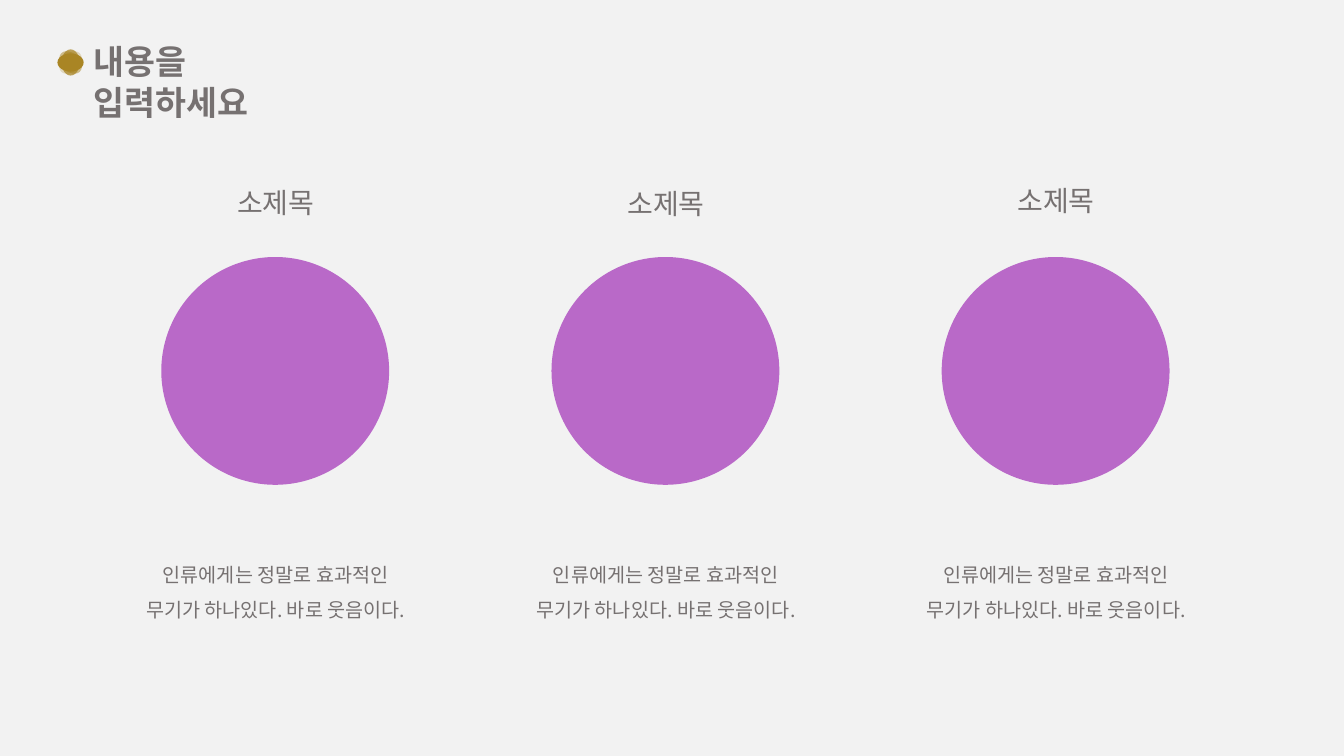
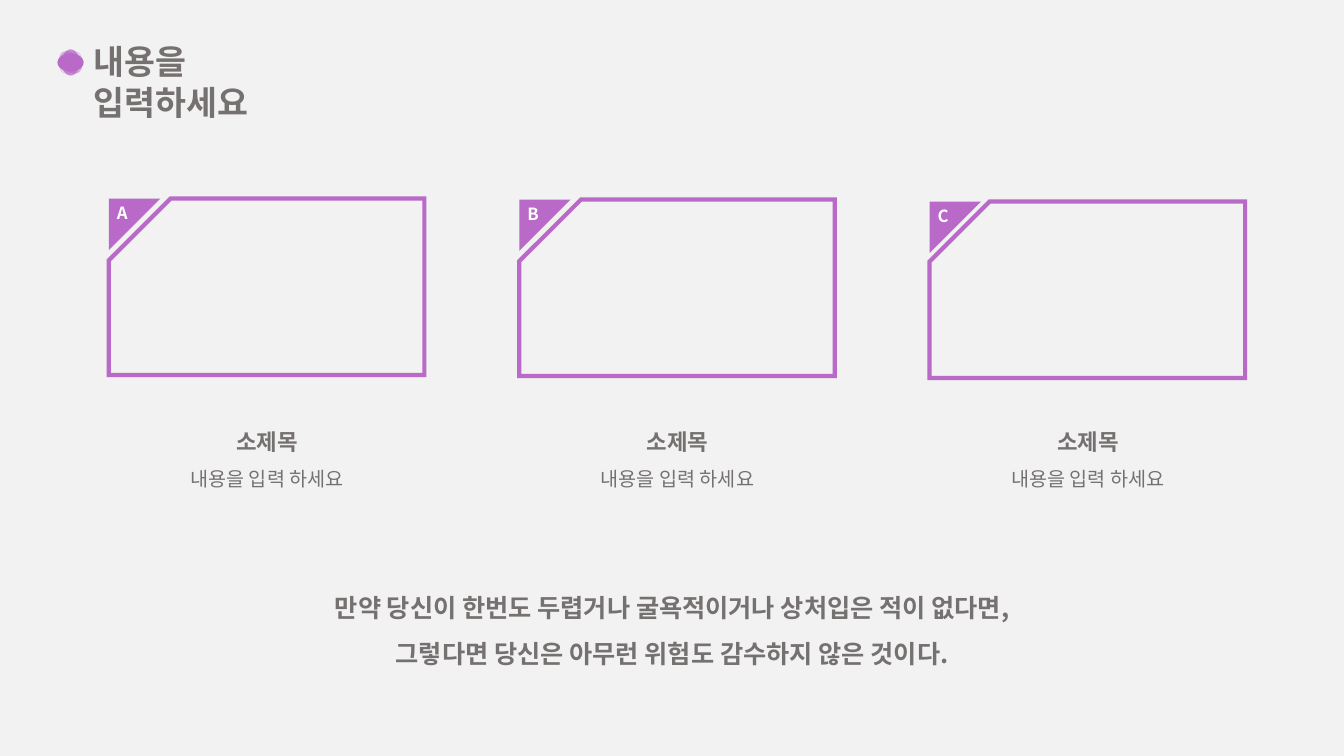
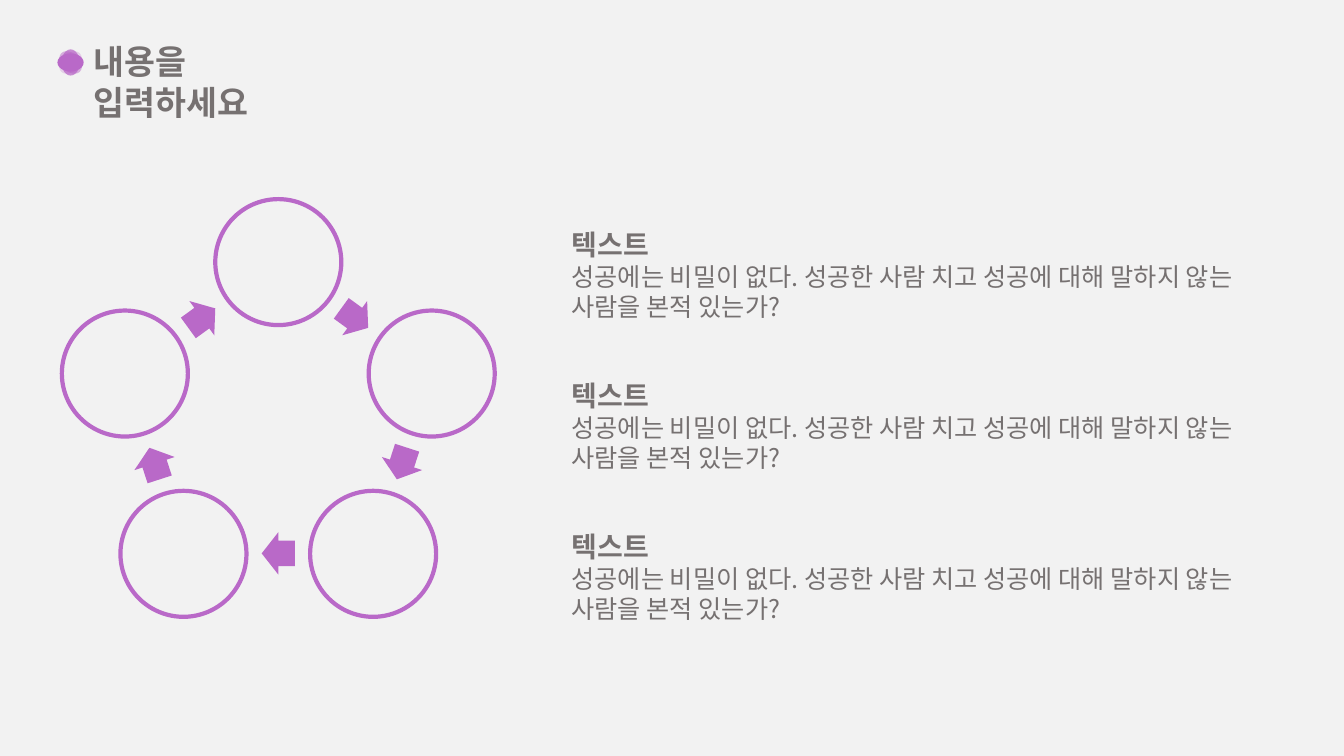
from math import cos, radians, sin

from lxml import etree
from pptx import Presentation
from pptx.dml.color import RGBColor
from pptx.enum.shapes import MSO_SHAPE
from pptx.enum.text import MSO_ANCHOR, MSO_AUTO_SIZE, PP_ALIGN
from pptx.oxml.ns import qn
from pptx.util import Inches, Pt

ELLIPSE = MSO_SHAPE.OVAL
ARROW = MSO_SHAPE.RIGHT_ARROW
SNIPPED = MSO_SHAPE.SNIP_1_RECTANGLE
TOP = MSO_ANCHOR.TOP
GROW = MSO_AUTO_SIZE.SHAPE_TO_FIT_TEXT
LEFT = PP_ALIGN.LEFT
CENTER = PP_ALIGN.CENTER

FONT = "Noto Sans CJK KR"
COLORS = {
    "background": "F2F2F2",
    "text": "767171",
    "purple": "B969C8",
    "gold": "A98524",
    "white": "FFFFFF",
}


class Deck:
    def __init__(self):
        self.presentation = Presentation()
        self.presentation.slide_width = Inches(13.33)
        self.presentation.slide_height = Inches(7.5)
        self.slide = None

    def color(self, name):
        return RGBColor.from_string(COLORS[name])

    def new_slide(self):
        layout = self.presentation.slide_layouts[6]
        self.slide = self.presentation.slides.add_slide(layout)
        fill = self.slide.background.fill
        fill.solid()
        fill.fore_color.rgb = self.color("background")

    def style(self, shape, fill=None, line=None, alpha=None):
        shape.shadow.inherit = False
        if fill:
            shape.fill.solid()
            shape.fill.fore_color.rgb = self.color(fill)
        else:
            shape.fill.background()
        if line:
            shape.line.color.rgb = self.color(line)
            shape.line.width = Pt(3)
            outline = shape.element.spPr.find(qn("a:ln"))
            etree.SubElement(outline, qn("a:miter"), lim="800000")
        else:
            shape.line.fill.background()
        if alpha:
            tint = shape.element.spPr.find(".//" + qn("a:srgbClr"))
            etree.SubElement(tint, qn("a:alpha"), val=str(alpha * 1000))

    def shape(self, kind, left, top, width, height, parent=None, rotation=0,
              adjustments=(), **look):
        shapes = (parent or self.slide).shapes
        shape = shapes.add_shape(kind, Inches(left), Inches(top),
                                 Inches(width), Inches(height))
        shape.rotation = rotation
        for index, value in enumerate(adjustments):
            shape.adjustments[index] = value
        self.style(shape, **look)
        return shape

    def add_lines(self, frame, lines, align=LEFT, color="text"):
        for index, (text, size, bold, spacing) in enumerate(lines):
            paragraph = frame.paragraphs[0] if index == 0 else frame.add_paragraph()
            paragraph.alignment = align
            paragraph.line_spacing = spacing
            run = paragraph.add_run()
            run.text = text
            run.font.size = Pt(size)
            run.font.bold = bold
            run.font.color.rgb = self.color(color)
            run.font.name = FONT
            properties = run._r.get_or_add_rPr()
            etree.SubElement(properties, qn("a:ea"), typeface=FONT)

    def text(self, left, top, width, height, lines, align=LEFT, wrap=True):
        box = self.slide.shapes.add_textbox(Inches(left), Inches(top),
                                            Inches(width), Inches(height))
        frame = box.text_frame
        frame.word_wrap = wrap
        frame.auto_size = GROW
        self.add_lines(frame, lines, align)
        return box

    def title(self, text, accent):
        box = self.text(0.83, 0.36, 2.74, 0.5, [(text, 24, True, 1.0)])
        box.text_frame.margin_right = Inches(0.4)
        marker = self.slide.shapes.add_group_shape()
        for rotation, alpha in ((90, 75), (45, 50), (315, 25), (0, None)):
            self.shape(ELLIPSE, 0.57, 0.53, 0.26, 0.18, parent=marker,
                       rotation=rotation, fill=accent, alpha=alpha)

    def snipped_frame(self, left, top, width, height, snip):
        frame = self.shape(SNIPPED, left, top, width, height,
                           adjustments=[snip], line="purple")
        frame.element.spPr.find(qn("a:xfrm")).set("flipH", "1")

    def corner_tag(self, left, top, side, letter):
        builder = self.slide.shapes.build_freeform(Inches(left), Inches(top))
        builder.add_line_segments([(Inches(left + side), Inches(top)),
                                   (Inches(left), Inches(top + side))], close=True)
        tag = builder.convert_to_shape()
        self.style(tag, fill="purple")
        frame = tag.text_frame
        frame.vertical_anchor = TOP
        frame.margin_left, frame.margin_top = Inches(0.08), Inches(0.04)
        frame.margin_right, frame.margin_bottom = Inches(0.24), Inches(0.31)
        self.add_lines(frame, [(letter, 12, True, 1.0)], color="white")

    def cycle(self, center_x, center_y, count):
        group = self.slide.shapes.add_group_shape()
        step = 360 / count

        def place(kind, angle, radius, width, height, **options):
            x = center_x + radius * sin(radians(angle))
            y = center_y - radius * cos(radians(angle))
            self.shape(kind, x - width / 2, y - height / 2, width, height,
                       parent=group, **options)

        for index in range(count):
            angle = index * step
            middle = angle + step / 2
            place(ELLIPSE, angle, 1.6, 1.25, 1.25, line="purple")
            place(ARROW, middle, 1.29, 0.33, 0.42, rotation=middle,
                  adjustments=[0.6, 0.5], fill="purple")


def circles_slide(deck):
    deck.new_slide()
    for column, heading_top in enumerate((1.62, 1.63, 1.6)):
        center = 2.73 + 3.87 * column
        deck.shape(ELLIPSE, center - 1.13, 2.55, 2.26, 2.26, fill="purple")
        deck.text(center - 1.41, 5.42, 2.83, 0.77,
                  [("인류에게는 정말로 효과적인 무기가 하나있다. 바로 웃음이다.",
                    14, False, 1.5)], CENTER)
        deck.text(center - 0.48, heading_top, 0.97, 0.56,
                  [("소제목", 20, False, 1.5)], CENTER, wrap=False)
    deck.title("내용을 입력하세요", "gold")


def frames_slide(deck):
    deck.new_slide()
    cards = (("A", 1.97, 0.35), ("B", 1.98, 0.35), ("C", 2, 0.34))
    for column, (letter, top, snip) in enumerate(cards):
        left = 1.08 + 4.07 * column
        deck.text(left + 0.19, 4.07, 2.76, 0.86,
                  [("소제목", 16, True, 1.5),
                   ("내용을 입력 하세요", 14, False, 1.5)], CENTER)
        deck.snipped_frame(left, top, 3.13, 1.75, snip)
        deck.corner_tag(left, top, 0.51, letter)
    deck.text(1.12, 5.68, 11.09, 1.01,
              [("만약 당신이 한번도 두렵거나 굴욕적이거나 상처입은 적이 없다면,",
                18, True, 1.5),
               ("그렇다면 당신은 아무런 위험도 감수하지 않은 것이다.",
                18, True, 1.5)], CENTER)
    deck.title("내용을 입력하세요", "purple")


def cycle_slide(deck):
    deck.new_slide()
    deck.cycle(2.76, 4.2, 5)
    for row in range(3):
        deck.text(5.57, 2.04 + 1.5 * row, 7.4, 1.21,
                  [("텍스트", 20, True, 1.5),
                   ("성공에는 비밀이 없다. 성공한 사람 치고 성공에 대해 말하지 않는 "
                    "사람을 본적 있는가?", 18, False, 1.0)])
    deck.title("내용을 입력하세요", "purple")


def main():
    deck = Deck()
    circles_slide(deck)
    frames_slide(deck)
    cycle_slide(deck)
    deck.presentation.save("out.pptx")


if __name__ == "__main__":
    main()
